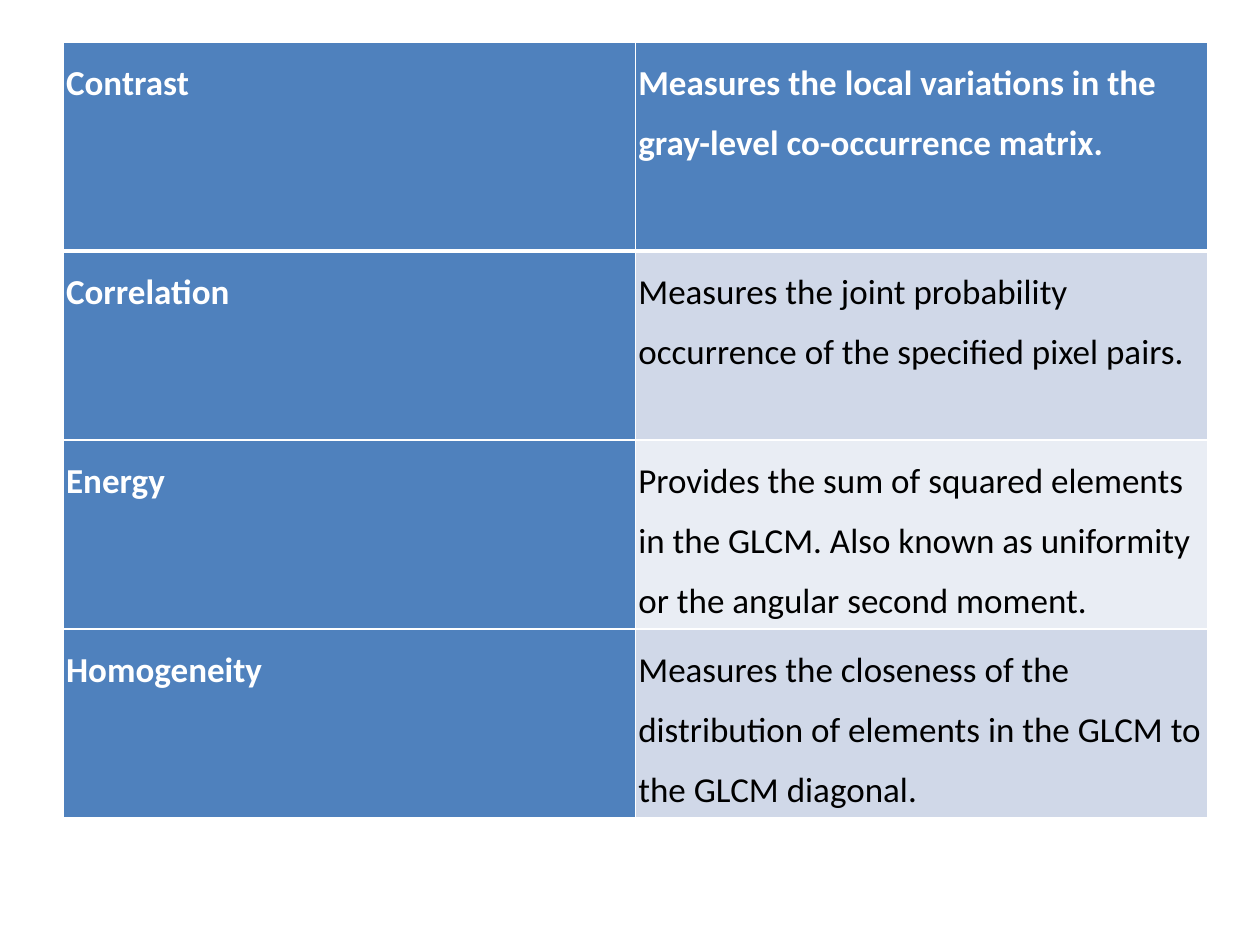
import pptx
import pptx.dml.color
import pptx.util
from lxml import etree
from pptx.oxml.ns import qn

Pt = pptx.util.Pt
RGBColor = pptx.dml.color.RGBColor

FEATURES = [
    ("Contrast", "Measures the local variations in the gray-level co-occurrence matrix."),
    ("Correlation", "Measures the joint probability occurrence of the specified pixel pairs."),
    ("Energy", "Provides the sum of squared elements in the GLCM. "
               "Also known as uniformity or the angular second moment."),
    ("Homogeneity", "Measures the closeness of the distribution of elements "
                    "in the GLCM to the GLCM diagonal."),
]

WHITE = RGBColor(0xFF, 0xFF, 0xFF)
BLACK = RGBColor(0x00, 0x00, 0x00)
BLUE = RGBColor(0x4F, 0x81, 0xBD)
BANDS = [RGBColor(0xE9, 0xED, 0xF4), RGBColor(0xD0, 0xD8, 0xE8)]

LEFT, TOP = 36.3, 24
COL_WIDTH = 327
HEADER_HEIGHT, ROW_HEIGHT = 119.5, 108
INSET = 1.5
THIN, THICK = 1, 3


def set_borders(cell, top, bottom):
    """Draw white borders; must run before the cell's fill is set."""
    tc_pr = cell._tc.get_or_add_tcPr()
    for side, width in (("L", THIN), ("R", THIN), ("T", top), ("B", bottom)):
        ln = etree.SubElement(tc_pr, qn(f"a:ln{side}"), w=str(Pt(width)))
        fill = etree.SubElement(ln, qn("a:solidFill"))
        etree.SubElement(fill, qn("a:srgbClr"), val=str(WHITE))


def fill_cell(cell, text, row, col):
    emphasized = row == 0 or col == 0
    set_borders(cell, THICK if row == 1 else THIN, THICK if row == 0 else THIN)
    cell.fill.solid()
    cell.fill.fore_color.rgb = BLUE if emphasized else BANDS[row % 2]
    cell.margin_left = cell.margin_right = Pt(INSET)
    cell.margin_top = cell.margin_bottom = Pt(INSET)
    cell.text = text
    p = cell.text_frame.paragraphs[0]
    p.line_spacing = 1.4
    p.space_after = Pt(7.5)
    p.font.name = "Calibri"
    p.font.size = Pt(20)
    p.font.bold = emphasized
    p.font.color.rgb = WHITE if emphasized else BLACK


prs = pptx.Presentation()
prs.slide_width, prs.slide_height = Pt(720), Pt(540)
s = prs.slides.add_slide(prs.slide_layouts[6])

heights = [HEADER_HEIGHT] + [ROW_HEIGHT] * (len(FEATURES) - 1)
table = s.shapes.add_table(len(FEATURES), 2, Pt(LEFT), Pt(TOP),
                           Pt(2 * COL_WIDTH), Pt(sum(heights))).table
for column in table.columns:
    column.width = Pt(COL_WIDTH)
for row, (feature, height) in enumerate(zip(FEATURES, heights)):
    table.rows[row].height = Pt(height)
    for col, text in enumerate(feature):
        fill_cell(table.cell(row, col), text, row, col)

prs.save("out.pptx")
